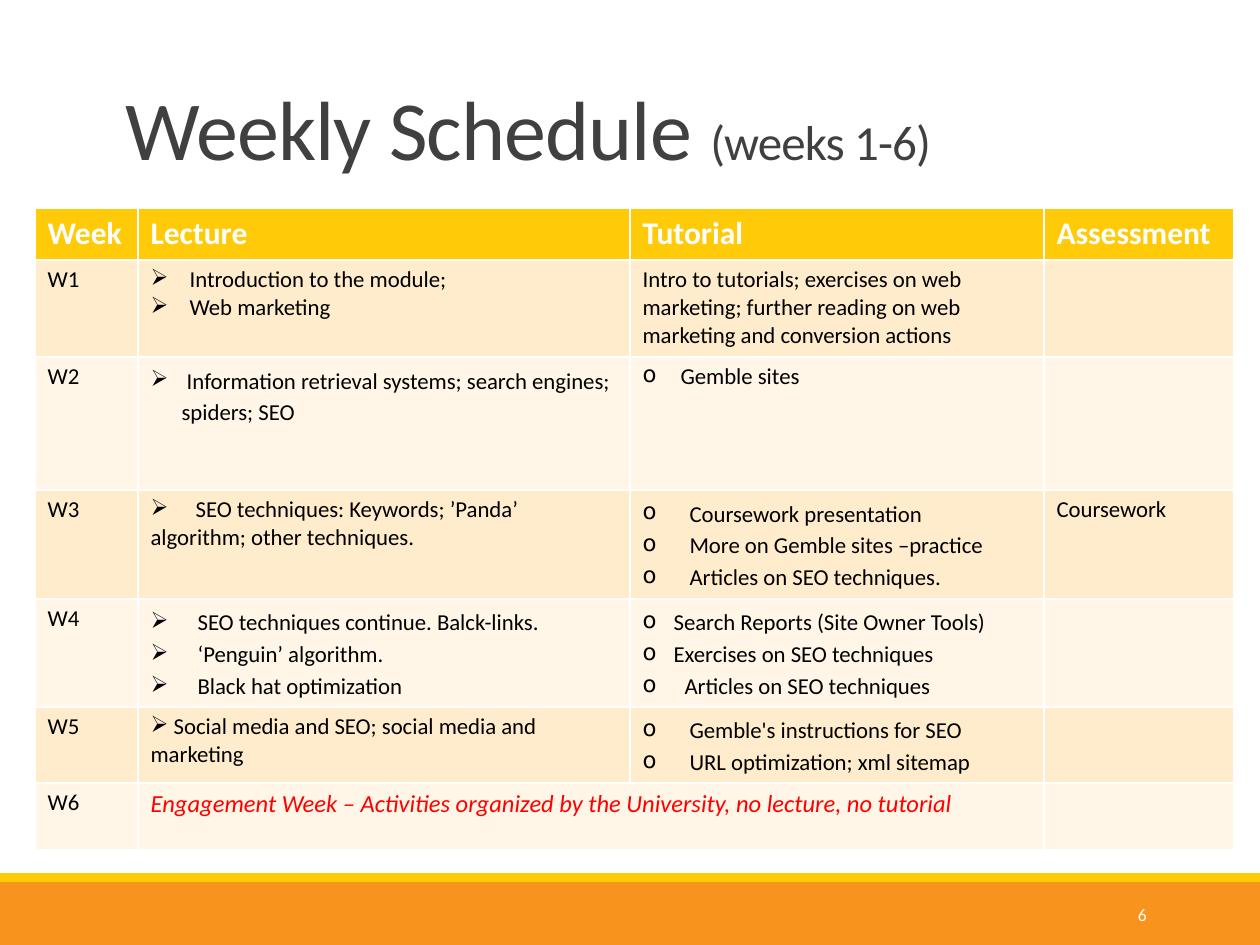
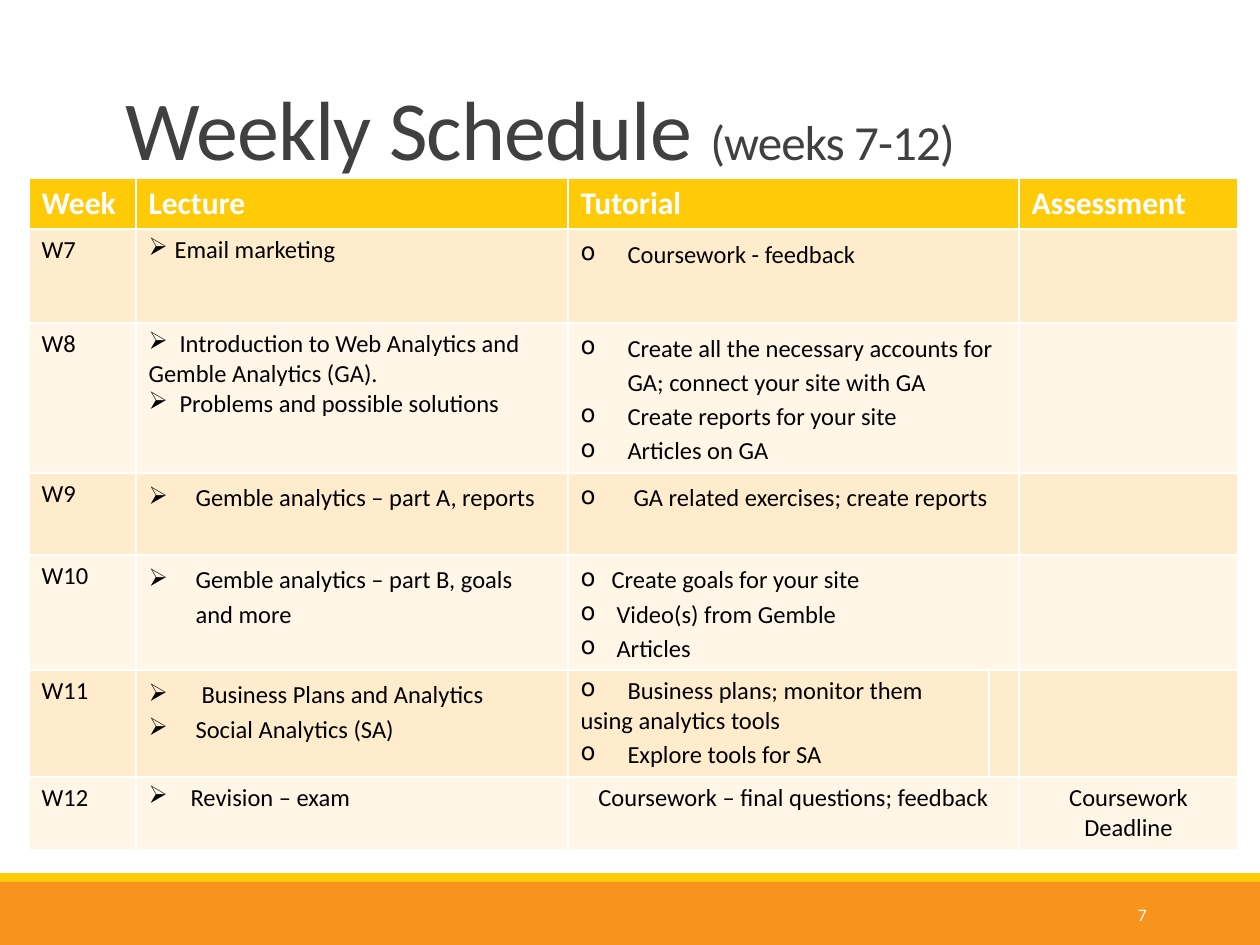
from dataclasses import dataclass

from lxml import etree
from pptx import Presentation
from pptx import util as u
from pptx.dml.color import RGBColor
from pptx.enum import shapes, text
from pptx.oxml import ns

PX = 914400 / 126
FONT = "Calibri"
WHITE, BLACK, RED = "FFFFFF", "000000", "FF0000"
GOLD, ORANGE, TITLE_GREY = "FFCA08", "F8931D", "404040"
ROW_TINTS = ("FFECCC", "FFF6E7")
LECTURE_BULLET, TUTORIAL_BULLET = "➢", "o"
HEADINGS = ("Week", "Lecture", "Tutorial", "Assessment")


def px(length):
    return u.Emu(round(length * PX))


def color(hex_string):
    return RGBColor.from_string(hex_string)


@dataclass
class Line:
    """One paragraph of a cell; gap is the distance in px from bullet to text."""
    words: str
    bullet: str = ""
    gap: int = 0
    spacing: float = 1.0
    hanging: bool = True
    centered: bool = False
    ink: str = BLACK
    italic: bool = False
    size: int = 0


def lecture(words, gap=47, spacing=1.15, hanging=True):
    return Line(words, LECTURE_BULLET, gap, spacing, hanging)


def tutorial(words, gap=47, spacing=1.15, hanging=True):
    return Line(words, TUTORIAL_BULLET, gap, spacing, hanging)


class Deck:
    def __init__(self):
        self.prs = Presentation()
        self.prs.slide_width, self.prs.slide_height = px(1260), px(945)
        self.slide = None

    def start_slide(self, weeks, number):
        self.slide = self.prs.slides.add_slide(self.prs.slide_layouts[5])
        self.band(882, 63, ORANGE)
        self.band(873, 9, GOLD)
        self.title("Weekly Schedule ", f"({weeks})")
        self.page_number(number)

    def style(self, paragraph, size, ink, bold=False, italic=False):
        font = paragraph.font
        font.name, font.size, font.bold, font.italic = FONT, u.Pt(size), bold, italic
        font.color.rgb = color(ink)

    def band(self, top, height, fill):
        band = self.slide.shapes.add_shape(
            shapes.MSO_SHAPE.RECTANGLE, 0, px(top), px(1260), px(height))
        band.shadow.inherit = False
        band.fill.solid()
        band.fill.fore_color.rgb = color(fill)
        band.line.fill.background()

    def title(self, heading, detail):
        title = self.slide.shapes.title
        title.left, title.top, title.width, title.height = map(px, (113, 39, 1040, 145))
        frame = title.text_frame
        frame.auto_size = text.MSO_AUTO_SIZE.NONE
        frame.vertical_anchor = text.MSO_ANCHOR.BOTTOM
        paragraph = frame.paragraphs[0]
        paragraph.alignment = text.PP_ALIGN.LEFT
        paragraph.line_spacing = 0.85
        self.style(paragraph, 48, TITLE_GREY)
        for words, size in ((heading, 48), (detail, 28)):
            run = paragraph.add_run()
            run.text = words
            run.font.size = u.Pt(size)
            run.font._element.set("spc", "-50")

    def page_number(self, number):
        box = self.slide.shapes.add_textbox(*map(px, (1023, 890, 136, 50)))
        frame = box.text_frame
        frame.word_wrap = True
        frame.vertical_anchor = text.MSO_ANCHOR.MIDDLE
        paragraph = frame.paragraphs[0]
        paragraph.text = str(number)
        paragraph.alignment = text.PP_ALIGN.RIGHT
        self.style(paragraph, 10, WHITE)

    def add_bullet(self, paragraph, line):
        """Hang the text at the gap, or let wrapped lines return to the margin."""
        props = paragraph._p.get_or_add_pPr()
        gap = px(line.gap)
        props.set("marL", str(gap if line.hanging else 0))
        props.set("indent", str(-gap if line.hanging else 0))
        etree.SubElement(props, ns.qn("a:buChar")).set("char", line.bullet)
        if not line.hanging and gap:
            tabs = etree.SubElement(props, ns.qn("a:tabLst"))
            tab = etree.SubElement(tabs, ns.qn("a:tab"))
            tab.set("pos", str(gap))
            tab.set("algn", "l")

    def fill_cell(self, cell, content, fill, size, header=False):
        cell.fill.solid()
        cell.fill.fore_color.rgb = color(fill)
        lines = content if isinstance(content, list) else [Line(content)]
        for i, line in enumerate(lines):
            frame = cell.text_frame
            paragraph = frame.add_paragraph() if i else frame.paragraphs[0]
            tabbed = line.gap and not line.hanging
            paragraph.text = "\t" + line.words if tabbed else line.words
            if line.bullet:
                self.add_bullet(paragraph, line)
            paragraph.line_spacing = line.spacing
            if line.centered:
                paragraph.alignment = text.PP_ALIGN.CENTER
            ink = WHITE if header else line.ink
            self.style(paragraph, line.size or size, ink, header, line.italic)

    def schedule(self, left, top, widths, heights, weeks, size):
        """Draw the table; None stands for a cell joined to the one on its left."""
        table = self.slide.shapes.add_table(
            len(weeks), len(widths), px(left), px(top),
            px(sum(widths)), px(sum(heights))).table
        for column, width in zip(table.columns, widths):
            column.width = px(width)
        for row, height in zip(table.rows, heights):
            row.height = px(height)
        for r, week in enumerate(weeks):
            header = r == 0
            fill = GOLD if header else ROW_TINTS[(r - 1) % 2]
            for c, content in enumerate(week):
                if content is None:
                    table.cell(r, c - 1).merge(table.cell(r, c))
                else:
                    self.fill_cell(table.cell(r, c), content, fill,
                                   18 if header else size, header)


FIRST_HALF = [
    HEADINGS,
    ("W1",
     [lecture("Introduction to the module;", 39, 1), lecture("Web marketing", 39, 1)],
     "Intro to tutorials; exercises on web marketing; further reading on web "
     "marketing and conversion actions", ""),
    ("W2",
     [lecture(" Information retrieval systems; search engines; spiders; SEO", 31)],
     [tutorial("Gemble sites", 38, 1)], ""),
    ("W3",
     [lecture("SEO techniques: Keywords; ’Panda’ algorithm; other techniques.",
              45, 1, hanging=False)],
     [tutorial("Coursework presentation"),
      tutorial("More on Gemble sites –practice"),
      tutorial("Articles on SEO techniques.")], "Coursework"),
    ("W4",
     [lecture("SEO techniques continue. Balck-links."),
      lecture("‘Penguin’ algorithm."),
      lecture("Black hat optimization")],
     [tutorial("Search Reports (Site Owner Tools)", 31),
      tutorial("Exercises on SEO techniques", 31),
      tutorial("Articles on SEO techniques", 42)], ""),
    ("W5",
     [lecture(" Social media and SEO; social media and marketing", 0, 1, hanging=False)],
     [tutorial("Gemble's instructions for SEO"),
      tutorial("URL optimization; xml sitemap")], ""),
    ("W6",
     [Line("Engagement Week – Activities organized by the University, "
           "no lecture, no tutorial", ink=RED, italic=True, size=14)], None, ""),
]

SECOND_HALF = [
    (*HEADINGS[:3], None, HEADINGS[3]),
    ("W7", [lecture("Email marketing", 26, 1)],
     [tutorial("Coursework - feedback")], None, ""),
    ("W8",
     [lecture("Introduction to Web Analytics and Gemble Analytics (GA).",
              31, 1, hanging=False),
      lecture("Problems and possible solutions", 31, 1)],
     [tutorial("Create all the necessary accounts for GA; connect your site with GA"),
      tutorial("Create reports for your site"),
      tutorial("Articles on GA")], None, ""),
    ("W9", [lecture("Gemble analytics – part A, reports")],
     [tutorial("GA related exercises; create reports", 53)], None, ""),
    ("W10", [lecture("Gemble analytics – part B, goals and more")],
     [tutorial("Create goals for your site", 31),
      tutorial("Video(s) from Gemble", 36),
      tutorial("Articles", 36)], None, ""),
    ("W11",
     [lecture("Business Plans and Analytics", 53), lecture("Social Analytics (SA)")],
     [tutorial("Business plans; monitor them using analytics tools",
               47, 1, hanging=False),
      tutorial("Explore tools for SA")], "", ""),
    ("W12", [lecture("Revision – exam", 42, 1)],
     [Line("Coursework – final questions; feedback", centered=True)], None,
     [Line("Coursework Deadline", centered=True)]),
]


def main():
    deck = Deck()
    deck.start_slide("weeks 1-6", 6)
    deck.schedule(35, 208, (103, 492, 414, 190),
                  (52, 97, 133, 109, 108, 76, 67), FIRST_HALF, 13)
    deck.start_slide("weeks 7-12", 7)
    deck.schedule(29, 178, (107, 432, 421, 29, 219),
                  (51, 94, 150, 82, 115, 107, 73), SECOND_HALF, 14)
    deck.prs.save("out.pptx")


if __name__ == "__main__":
    main()
